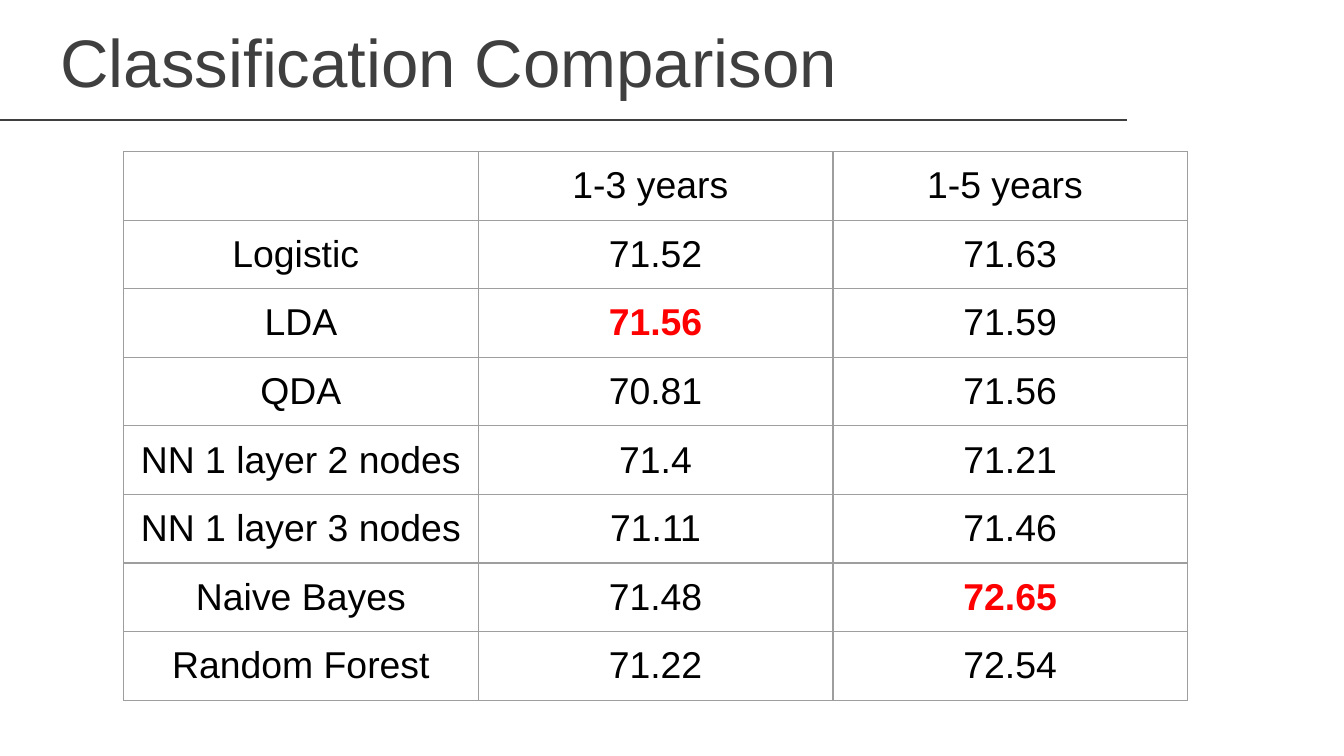
from lxml.etree import SubElement
from pptx import Presentation
from pptx.dml.color import RGBColor
from pptx.enum.shapes import MSO_CONNECTOR
from pptx.enum.text import MSO_ANCHOR, MSO_AUTO_SIZE, PP_ALIGN
from pptx.oxml.ns import qn
from pptx.util import Pt

# Content
TITLE = "Classification Comparison"
ROWS = [
    ("", "1-3 years ", "1-5 years "),
    ("Logistic ", "71.52", "71.63"),
    ("LDA", "71.56", "71.59"),
    ("QDA", "70.81", "71.56"),
    ("NN 1 layer 2 nodes", "71.4", "71.21"),
    ("NN 1 layer 3 nodes ", "71.11", "71.46"),
    ("Naive Bayes", "71.48", "72.65"),
    ("Random Forest", "71.22", "72.54"),
]
BEST = {(2, 1), (6, 2)}  # row, column of the highest score per period

# Layout and colours
FONT = "Arial"
DARK, BLACK, RED, GRID = "3F3F3F", "000000", "FF0000", "9E9E9E"
TABLE_LEFT, TABLE_TOP = 66.24, 81.2
COL_W, ROW_H, INSET = 190, 36.7, 7.2


def rgb(color):
    return RGBColor.from_string(color)


def format_text(p, size, color, align, bold=False):
    p.alignment = align
    for r in p.runs:
        f = r.font
        f.name, f.size, f.bold = FONT, Pt(size), bold
        f.color.rgb = rgb(color)


def add_borders(cell, color, width):
    tcPr = cell._tc.get_or_add_tcPr()
    for i, side in enumerate(("lnL", "lnR", "lnT", "lnB")):
        ln = SubElement(tcPr, qn(f"a:{side}"), w=str(Pt(width)))
        tcPr.insert(i, ln)
        fill = SubElement(ln, qn("a:solidFill"))
        SubElement(fill, qn("a:srgbClr"), val=color)


prs = Presentation()
prs.slide_width, prs.slide_height = Pt(720), Pt(405)
s = prs.slides.add_slide(prs.slide_layouts[5])

# Title
title = s.shapes.title
title.left, title.top, title.width, title.height = Pt(25.2), Pt(10), Pt(578), Pt(45.4)
tf = title.text_frame
tf.text = TITLE
tf.word_wrap = True
tf.auto_size = MSO_AUTO_SIZE.NONE
tf.vertical_anchor = MSO_ANCHOR.MIDDLE
tf.paragraphs[0].space_before = Pt(7.2)
format_text(tf.paragraphs[0], 36, DARK, PP_ALIGN.LEFT)

# Rule under the title
rule = s.shapes.add_connector(MSO_CONNECTOR.STRAIGHT, Pt(-0.7), Pt(64.3), Pt(604), Pt(64.3))
rule.line.color.rgb = rgb(DARK)
rule.line.width = Pt(1.5)
SubElement(rule._element.spPr, qn("a:effectLst"))

# Score table
n_rows, n_cols = len(ROWS), len(ROWS[0])
table = s.shapes.add_table(n_rows, n_cols, Pt(TABLE_LEFT), Pt(TABLE_TOP),
                           Pt(n_cols * COL_W), Pt(n_rows * ROW_H)).table
table.first_row = table.horz_banding = False
for col in table.columns:
    col.width = Pt(COL_W)
for i, values in enumerate(ROWS):
    table.rows[i].height = Pt(ROW_H)
    for j, value in enumerate(values):
        cell = table.cell(i, j)
        best = (i, j) in BEST
        cell.text = value
        cell.margin_left = cell.margin_right = Pt(INSET)
        cell.margin_top = cell.margin_bottom = Pt(INSET)
        cell.fill.background()
        add_borders(cell, GRID, 0.75)
        format_text(cell.text_frame.paragraphs[0], 20, RED if best else BLACK,
                    PP_ALIGN.CENTER, best)

prs.save("out.pptx")
